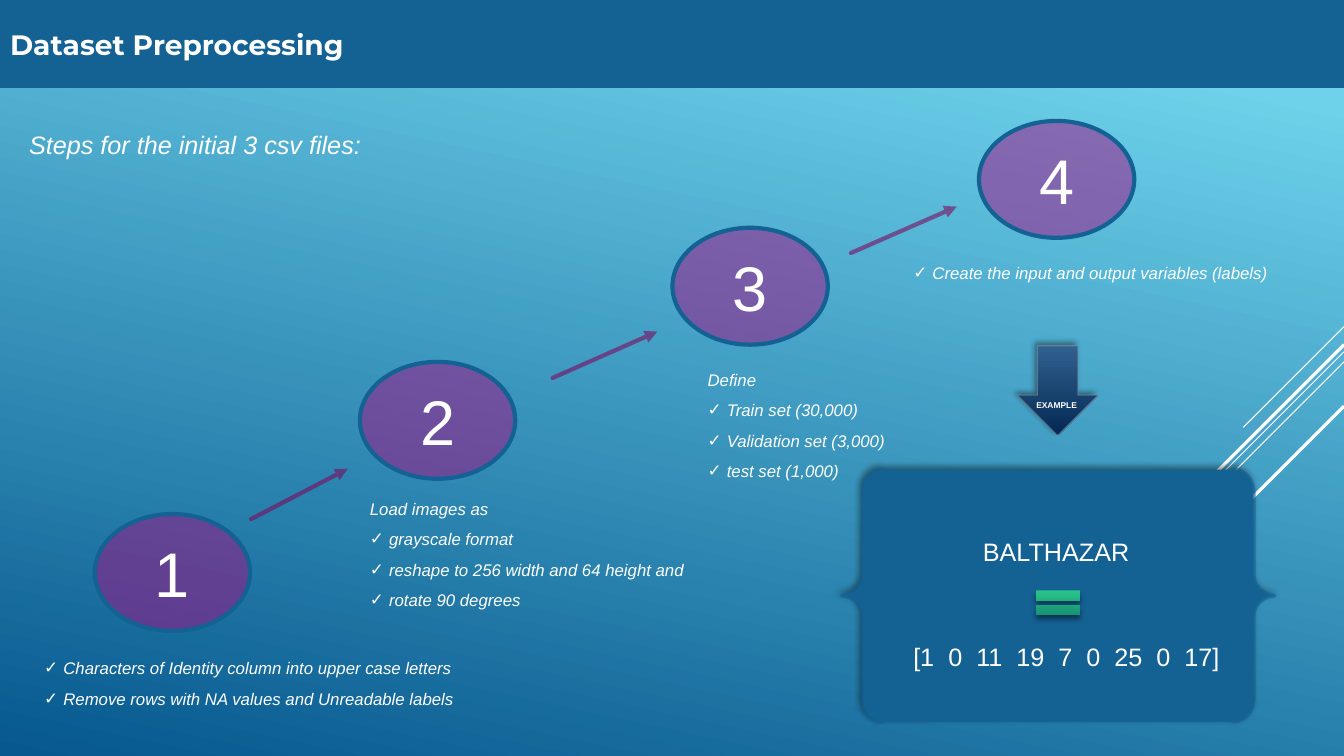
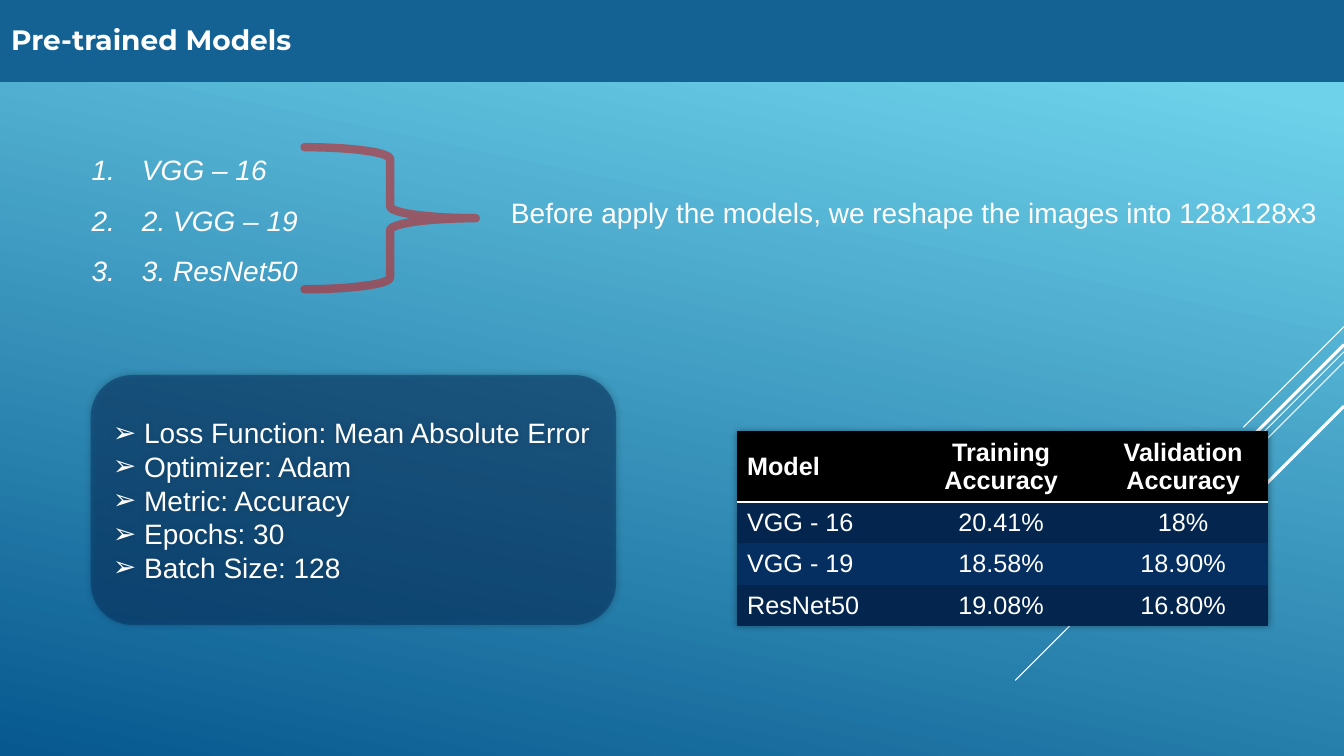
"""Build two slides on dataset preprocessing and pre-trained models."""
from lxml.etree import SubElement
from pptx import Presentation
from pptx.dml.color import RGBColor
from pptx.enum.shapes import MSO_CONNECTOR, MSO_SHAPE as SHAPE
from pptx.enum.text import MSO_ANCHOR as ANCHOR, PP_ALIGN as ALIGN
from pptx.oxml.ns import qn
from pptx.util import Inches, Pt

C = {
    "white": "FFFFFF", "black": "000000", "band": "146194", "navy": "052F61",
    "row": "04264E", "purple": "A50E82", "arrow": "7C0B61", "brace": "C62324",
    "grey": "89919C",
}
SKY = ((0.1, "6ED2EB"), (1, "06588E"))
BLUES = ((0, "316190"), (1, "042853"))
GREENS = ((0, "2ED592"), (1, "11806A"))
NO_STYLE = "{2D5ABB26-0587-4C30-8999-92F81FD0307C}"

RAYS = [
    (3.24, 1, 0.75), (3.49, 3.26, 0.75), (3.59, 2.07, 0.75),
    (3.42, 1.91, 2.25), (4.03, 1.39, 2.25),
]
STEPS = [
    dict(circle=(0.94, 5.1), box=(0.34, 6.38, 4.5, 0.67), lead=0, lines=[
        "Characters of Identity column into upper case letters",
        "Remove rows with NA values and Unreadable labels"]),
    dict(circle=(3.57, 3.59), box=(3.57, 4.8, 3.49, 1.28), lead=1, lines=[
        "Load images as", "grayscale format",
        "reshape to 256 width and 64 height and", "rotate 90 degrees"]),
    dict(circle=(6.67, 2.26), box=(6.92, 3.52, 2.18, 1.28), lead=1, lines=[
        "Define", "Train set (30,000)", "Validation set (3,000)", "test set (1,000)"]),
    dict(circle=(9.71, 1.2), box=(8.96, 2.46, 3.91, 0.37), lead=0, lines=[
        "Create the input and output variables (labels)"]),
]
ARROWS = [(2.49, 5.15, 3.45, 4.65), (5.48, 3.75, 6.52, 3.29), (8.44, 2.51, 9.49, 2.05)]
MODELS = ["VGG – 16", "2. VGG – 19", "3. ResNet50"]
SETTINGS = [
    "Loss Function: Mean Absolute Error", "Optimizer: Adam", "Metric: Accuracy",
    "Epochs: 30", "Batch Size: 128",
]
RESULTS = [
    ("Model", "Training Accuracy", "Validation Accuracy"),
    ("VGG - 16", "20.41%", "18%"),
    ("VGG - 19", "18.58%", "18.90%"),
    ("ResNet50", "19.08%", "16.80%"),
]
COLUMNS = (1.66, 1.92, 1.69)
ROWS = (0.69, 0.41, 0.41, 0.41)


def rgb(name):
    return RGBColor.from_string(C.get(name, name))


def sub(parent, tag, **attrs):
    return SubElement(parent, qn(tag), {k: str(v) for k, v in attrs.items()})


def alpha(el, pct):
    sub(el.find(".//" + qn("a:srgbClr")), "a:alpha", val=pct * 1000)


def gradient(fill, stops, angle):
    fill.gradient()
    fill.gradient_angle = 360 - angle
    for stop, (position, color) in zip(fill.gradient_stops, stops):
        stop.position = position
        stop.color.rgb = rgb(color)


def shadow(effects, pct=40, blur=4, dist=3, angle=225):
    outer = sub(effects, "a:outerShdw", blurRad=Pt(blur), dist=Pt(dist),
                dir=angle * 60000, algn="ctr", rotWithShape=0)
    sub(outer, "a:srgbClr", val=C["black"])
    alpha(outer, pct)


def write(tf, lines, size=12, font="Arial", color="white", bold=False, italic=False,
          align=ALIGN.LEFT, spacing=None, bullet="", indent=0.19, lead=0):
    for i, line in enumerate(lines):
        p = tf.paragraphs[0] if i == 0 else tf.add_paragraph()
        p.alignment = align
        if spacing:
            p.line_spacing = spacing
        if bullet and i >= lead:
            pPr = p._p.get_or_add_pPr()
            pPr.set("marL", str(Inches(indent)))
            pPr.set("indent", str(-Inches(indent)))
            if bullet == "1.":
                sub(pPr, "a:buAutoNum", type="arabicPeriod")
            else:
                sub(pPr, "a:buFont", typeface="Arial")
                sub(pPr, "a:buChar", char=bullet)
        r = p.add_run()
        r.text = line
        f = r.font
        f.size, f.name, f.bold, f.italic = Pt(size), font, bold, italic
        f.color.rgb = rgb(color)


def add_text(s, box, lines, wrap=True, **fmt):
    tf = s.shapes.add_textbox(*map(Inches, box)).text_frame
    tf.word_wrap = wrap
    write(tf, lines, **fmt)


def style_line(sp, color, width, opacity=100, rounded=False):
    sp.line.color.rgb = rgb(color)
    sp.line.width = Pt(width)
    ln = sp._element.spPr.find(qn("a:ln"))
    if opacity < 100:
        alpha(ln, opacity)
    if rounded:
        ln.set("cap", "rnd")
    return ln


def add_shape(s, kind, box, fill=None, opacity=100, line=None, shade=None):
    sp = s.shapes.add_shape(kind, *map(Inches, box))
    sp.shadow.inherit = False
    if isinstance(fill, tuple):
        gradient(sp.fill, fill, 90)
    elif fill:
        sp.fill.solid()
        sp.fill.fore_color.rgb = rgb(fill)
        if opacity < 100:
            alpha(sp._element.spPr, opacity)
    else:
        sp.fill.background()
    if line:
        style_line(sp, *line)
    else:
        sp.line.fill.background()
    if shade is not None:
        shadow(sp._element.spPr.find(qn("a:effectLst")), **shade)
    return sp


def add_line(s, ends, color, width, opacity=100, arrow=False):
    sp = s.shapes.add_connector(MSO_CONNECTOR.STRAIGHT, *map(Inches, ends))
    ln = style_line(sp, color, width, opacity, arrow)
    if arrow:
        sub(ln, "a:tailEnd", type="triangle")
    sub(sp._element.spPr, "a:effectLst")


def new_slide(prs, title, left, top):
    s = prs.slides.add_slide(prs.slide_layouts[5])
    for y, run, width in RAYS:
        add_line(s, (13.33, y, 13.33 - run, y + run), "white", width)
    t = s.shapes.title
    t.left, t.top, t.width, t.height = map(Inches, (left, top, 13.33, 0.85))
    t.fill.solid()
    t.fill.fore_color.rgb = rgb("band")
    style_line(t, "band", 1.25)
    t.text_frame.vertical_anchor = ANCHOR.MIDDLE
    write(t.text_frame, [title], size=20, font="Montserrat", bold=True)
    return s


def add_results(s):
    frame = s.shapes.add_table(len(ROWS), len(COLUMNS), *map(
        Inches, (7.31, 4.28, sum(COLUMNS), sum(ROWS))))
    table = frame.table
    tblPr = table._tbl.tblPr
    tblPr.find(qn("a:tableStyleId")).text = NO_STYLE
    effects = sub(tblPr, "a:effectLst")
    tblPr.insert(0, effects)
    shadow(effects, blur=5, dist=0, angle=0)
    for column, width in zip(table.columns, COLUMNS):
        column.width = Inches(width)
    for i, (values, height) in enumerate(zip(RESULTS, ROWS)):
        table.rows[i].height = Inches(height)
        for j, value in enumerate(values):
            cell = table.cell(i, j)
            cell.vertical_anchor = ANCHOR.MIDDLE
            if i == 0:
                ln = sub(cell._tc.get_or_add_tcPr(), "a:lnB", w=Pt(2))
                sub(sub(ln, "a:solidFill"), "a:srgbClr", val=C["white"])
            cell.fill.solid()
            cell.fill.fore_color.rgb = rgb("black" if i == 0 else ("navy", "row")[i % 2])
            write(cell.text_frame, [value], size=18, bold=i == 0,
                  align=ALIGN.CENTER if j else ALIGN.LEFT)


def preprocessing(prs):
    s = new_slide(prs, "Dataset Preprocessing", 0, 0.01)
    add_text(s, (0.19, 1.23, 3.62, 0.4), ["Steps for the initial 3 csv files:"],
             size=18, italic=True)
    for number, step in enumerate(STEPS, 1):
        sp = add_shape(s, SHAPE.OVAL, (*step["circle"], 1.54, 1.16), "purple", 50, ("band", 3))
        sp.text_frame.vertical_anchor = ANCHOR.MIDDLE
        write(sp.text_frame, [str(number)], size=45, align=ALIGN.CENTER)
        add_text(s, step["box"], step["lines"], italic=True, spacing=1.5,
                 bullet="✓", lead=step["lead"])
    for ends in ARROWS:
        add_line(s, ends, "arrow", 3, 60, arrow=True)
    add_shape(s, SHAPE.DOWN_ARROW, (10.09, 3.43, 0.8, 0.89), BLUES,
              line=("grey", 0.75, 60), shade={})
    add_shape(s, SHAPE.DOUBLE_BRACE, (8.35, 4.66, 4.29, 2.5), "band",
              line=("band", 3, 60), shade={})
    add_shape(s, SHAPE.MATH_EQUAL, (10.2, 5.78, 0.59, 0.4), GREENS,
              shade=dict(pct=46, angle=90))
    add_text(s, (10.18, 3.92, 0.6, 0.21), ["EXAMPLE"], wrap=False, size=6, bold=True)
    add_text(s, (9.65, 5.27, 1.67, 0.4), ["BALTHAZAR"], wrap=False, size=18)
    add_text(s, (8.96, 6.31, 3.27, 0.4), ["[1  0  11  19  7  0  25  0  17]"],
             wrap=False, size=18)


def models(prs):
    s = new_slide(prs, "Pre-trained Models", 0.01, -0.04)
    add_text(s, (0.81, 1.3, 2.48, 1.55), MODELS, size=20, italic=True, spacing=1.5,
             bullet="1.", indent=0.5)
    add_text(s, (4.97, 1.89, 8.26, 0.44),
             ["Before apply the models, we reshape the images into 128x128x3"],
             wrap=False, size=20)
    add_shape(s, SHAPE.RIGHT_BRACE, (3.02, 1.46, 1.7, 1.41), line=("brace", 6, 60, True))
    add_results(s)
    sp = add_shape(s, SHAPE.FLOWCHART_ALTERNATE_PROCESS, (0.9, 3.72, 5.21, 2.48), "navy", 50,
                   shade=dict(blur=5, dist=0, angle=0))
    sp.text_frame.vertical_anchor = ANCHOR.MIDDLE
    write(sp.text_frame, SETTINGS, size=20, bullet="➢", indent=0.31)


def main():
    prs = Presentation()
    prs.slide_width, prs.slide_height = Inches(13.33), Inches(7.5)
    gradient(prs.slide_master.background.fill, SKY, 102)
    preprocessing(prs)
    models(prs)
    prs.save("out.pptx")


if __name__ == "__main__":
    main()
